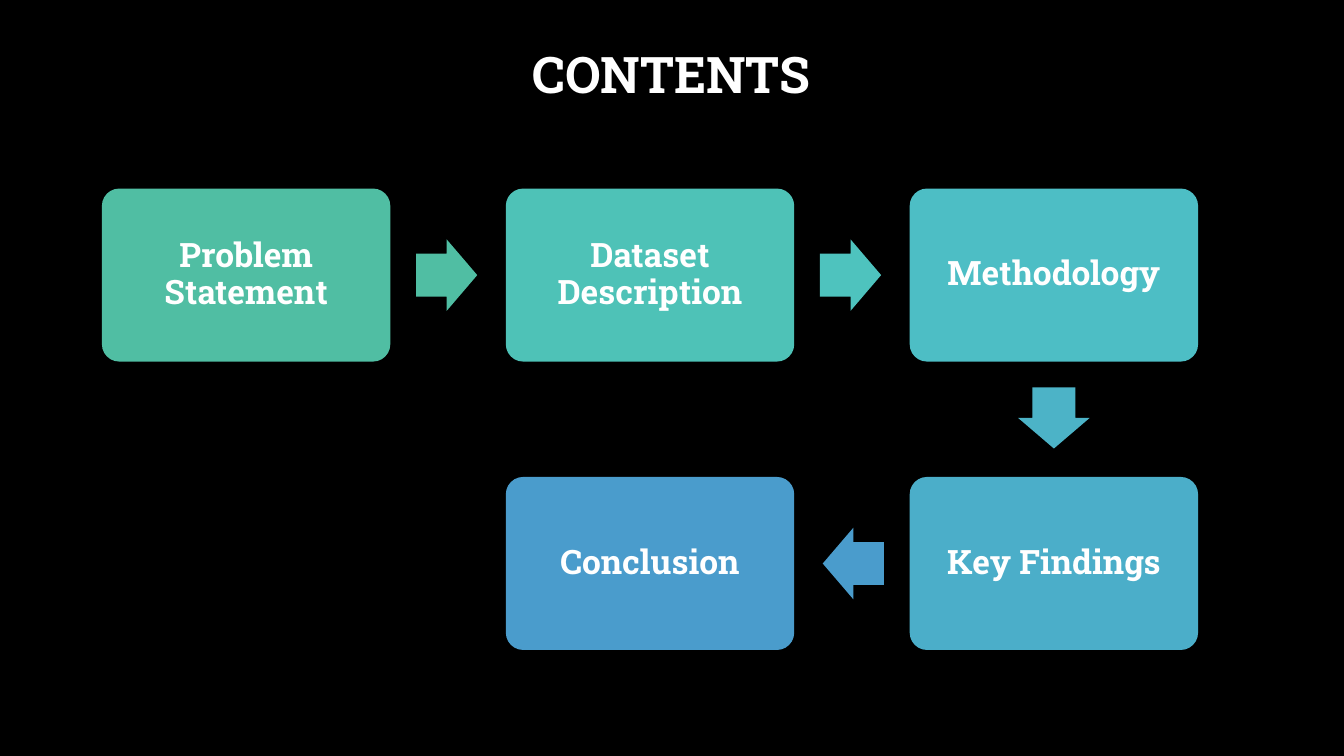
from pptx import Presentation
from pptx.dml.color import RGBColor
from pptx.enum.shapes import MSO_SHAPE
from pptx.enum.text import MSO_ANCHOR, PP_ALIGN
from pptx.util import Pt

ROUNDED = MSO_SHAPE.ROUNDED_RECTANGLE
ARROW = MSO_SHAPE.RIGHT_ARROW
MIDDLE = MSO_ANCHOR.MIDDLE
CENTER = PP_ALIGN.CENTER

TITLE = "CONTENTS"
# text, column, row, fill
STEPS = [
    ("Problem Statement", 0, 0, "50BEA3"),
    ("Dataset Description", 1, 0, "4EC2B7"),
    ("Methodology", 2, 0, "4DBEC5"),
    ("Key Findings", 2, 1, "4BAEC9"),
    ("Conclusion", 1, 1, "4A9CCC"),
]
ARROW_FILLS = ["50BEA3", "4EC3BE", "4CB3C7", "4A9CCC"]
ROTATIONS = {(1, 0): 0, (0, 1): 90, (-1, 0): 180}

FONT = "Roboto Slab"
WHITE = "FFFFFF"
BLACK = "000000"
LEFT, TOP = 72.8, 134.7
BOX_WIDTH, BOX_HEIGHT = 206, 123.6
COLUMN_PITCH, ROW_PITCH = 288.5, 206
ARROW_LENGTH, ARROW_HEIGHT = 43.7, 51.1
ARROW_GAP = 18.4


def color(value):
    return RGBColor.from_string(value)


def write(shape, text, size):
    frame = shape.text_frame
    frame.word_wrap = True
    frame.vertical_anchor = MIDDLE
    frame.text = text
    paragraph = frame.paragraphs[0]
    paragraph.alignment = CENTER
    paragraph.line_spacing = 0.9
    paragraph.font.name = FONT
    paragraph.font.size = Pt(size)
    paragraph.font.bold = True
    paragraph.font.color.rgb = color(WHITE)
    return frame


def add_centered(slide, kind, center, size, fill):
    """Add a plain filled shape around its center point."""
    (x, y), (width, height) = center, size
    shape = slide.shapes.add_shape(
        kind, Pt(x - width / 2), Pt(y - height / 2), Pt(width), Pt(height))
    shape.shadow.inherit = False
    shape.fill.solid()
    shape.fill.fore_color.rgb = color(fill)
    shape.line.fill.background()
    return shape


def box_center(column, row):
    return (LEFT + column * COLUMN_PITCH + BOX_WIDTH / 2,
            TOP + row * ROW_PITCH + BOX_HEIGHT / 2)


def add_step(slide, text, column, row, fill):
    box = add_centered(slide, ROUNDED, box_center(column, row),
                       (BOX_WIDTH, BOX_HEIGHT), fill)
    box.adjustments[0] = 0.1
    frame = write(box, text, 24)
    frame.margin_left = frame.margin_right = Pt(7.2)
    frame.margin_top = frame.margin_bottom = Pt(7.2)


def add_step_arrow(slide, step, next_step, fill):
    """Add the arrow that leaves one step towards the next."""
    column, row = step[1:3]
    across, down = next_step[1] - column, next_step[2] - row
    x, y = box_center(column, row)
    reach = ARROW_GAP + ARROW_LENGTH / 2
    center = (x + across * (BOX_WIDTH / 2 + reach),
              y + down * (BOX_HEIGHT / 2 + reach))
    arrow = add_centered(slide, ARROW, center, (ARROW_LENGTH, ARROW_HEIGHT), fill)
    arrow.adjustments[0] = 0.6
    arrow.adjustments[1] = 0.5
    arrow.rotation = ROTATIONS[across, down]


def main():
    presentation = Presentation()
    presentation.slide_width, presentation.slide_height = Pt(960), Pt(540)
    slide = presentation.slides.add_slide(presentation.slide_layouts[5])
    slide.background.fill.solid()
    slide.background.fill.fore_color.rgb = color(BLACK)

    title = slide.shapes.title
    title.left, title.top = Pt(72), Pt(14.4)
    title.width, title.height = Pt(815), Pt(81.5)
    write(title, TITLE, 36)

    for step in STEPS:
        add_step(slide, *step)
    for step, next_step, fill in zip(STEPS, STEPS[1:], ARROW_FILLS):
        add_step_arrow(slide, step, next_step, fill)

    presentation.save("out.pptx")


if __name__ == "__main__":
    main()
